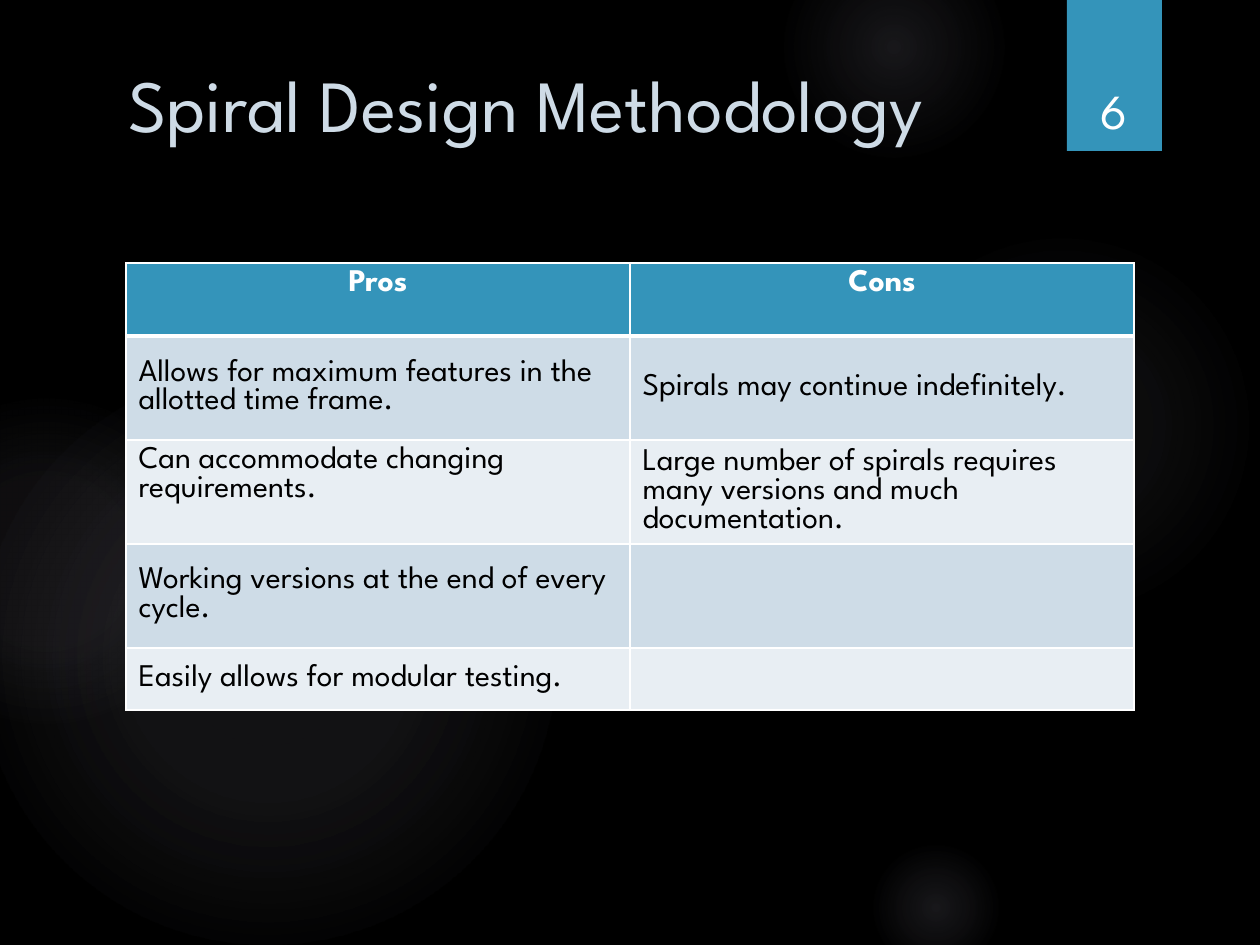
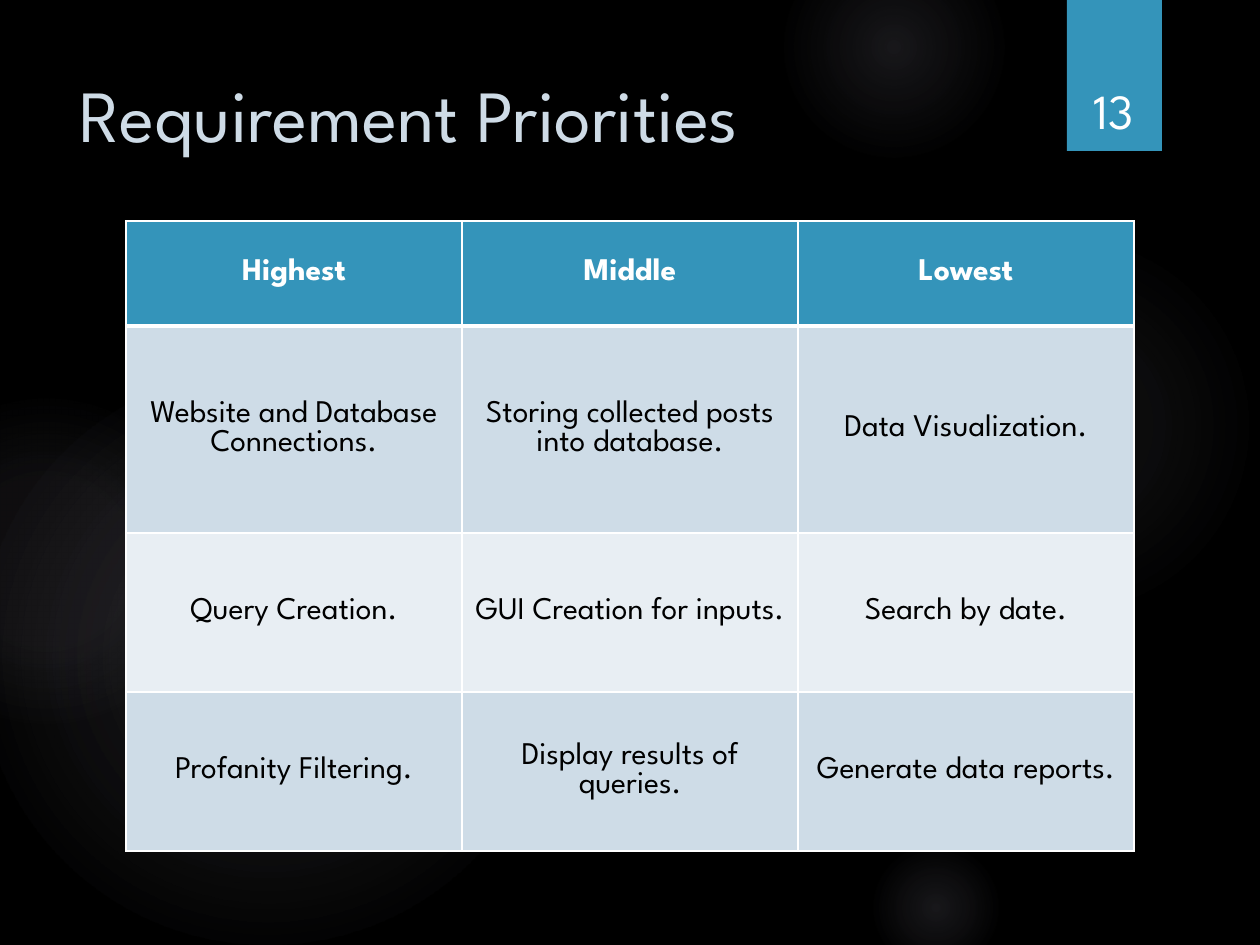
from lxml import etree
from pptx import Presentation
from pptx import util as u
from pptx.dml import color
from pptx.enum import shapes, text
from pptx.oxml import ns

SCALE = 914400 / 126
FONT = "League Spartan"
BLACK, WHITE, BLUE = "000000", "FFFFFF", "3494BA"
TITLE_COLOR, GLOW = "CEDBE6", "AAA7BC"
BANDS = ["CEDCE7", "E8EEF3"]
TOP, MIDDLE, BOTTOM = text.MSO_ANCHOR.TOP, text.MSO_ANCHOR.MIDDLE, text.MSO_ANCHOR.BOTTOM
LEFT, CENTER = text.PP_ALIGN.LEFT, text.PP_ALIGN.CENTER

GLOWS = [
    ((868, 231, 388), [(0, 7), (36, 6), (69, 0)]),
    ((784, -63, 220), [(0, 14), (36, 7), (73, 0)]),
    ((868, 840, 136), [(0, 14), (36, 7), (66, 0)]),
    ((-21, 368, 577), [(0, 11), (36, 10), (75, 0)]),
    ((-116, 399, 325), [(0, 8), (36, 8), (72, 0)]),
]


def px(length):
    return u.Emu(round(length * SCALE))


def rgb(value):
    return color.RGBColor.from_string(value)


def add_xml(parent, tag, **attributes):
    element = etree.SubElement(parent, ns.qn(tag))
    for name, value in attributes.items():
        element.set(name, str(value))
    return element


def add_color(parent, value, opacity=100):
    swatch = add_xml(parent, "a:srgbClr", val=value)
    if opacity < 100:
        add_xml(swatch, "a:alpha", val=opacity * 1000)


def write(frame, words, size=18, ink=BLACK, bold=False, align=LEFT, leading=None):
    paragraph = frame.paragraphs[0]
    paragraph.alignment = align
    paragraph.line_spacing = leading
    run = paragraph.add_run()
    run.text = words
    run.font.name = FONT
    run.font.size = u.Pt(size)
    run.font.bold = bold
    run.font.color.rgb = rgb(ink)


def add_text(slide, box, words, anchor=TOP, **style):
    frame = slide.shapes.add_textbox(*map(px, box)).text_frame
    frame.word_wrap = True
    frame.vertical_anchor = anchor
    write(frame, words, **style)


def add_glow(slide, box, stops):
    left, top, size = box
    shape = slide.shapes.add_shape(
        shapes.MSO_SHAPE.OVAL, px(left), px(top), px(size), px(size))
    shape.shadow.inherit = False
    shape.line.fill.background()
    shape.fill.gradient()
    gradient = shape.element.spPr.find(ns.qn("a:gradFill"))
    for child in list(gradient):
        gradient.remove(child)
    stop_list = add_xml(gradient, "a:gsLst")
    for position, opacity in stops:
        add_color(add_xml(stop_list, "a:gs", pos=position * 1000), GLOW, opacity)
    circle = add_xml(gradient, "a:path", path="circle")
    add_xml(circle, "a:fillToRect", l=50000, t=50000, r=50000, b=50000)


def add_number_tab(slide, box, number):
    left, top, width, height = box
    tab = slide.shapes.add_shape(shapes.MSO_SHAPE.RECTANGLE, *map(px, box))
    tab.fill.solid()
    tab.fill.fore_color.rgb = rgb(BLUE)
    tab.line.fill.background()
    tab.shadow.inherit = False
    effects = tab.element.spPr.find(ns.qn("a:effectLst"))
    shadow = add_xml(effects, "a:outerShdw", blurRad=u.Pt(6), dist=u.Pt(3),
                     dir=5400000, rotWithShape=0)
    add_color(shadow, BLACK, 60)
    add_text(slide, (left + 3, top + 40, width - 8, 106), number,
             anchor=BOTTOM, size=28, ink=WHITE, align=CENTER)


def add_borders(cell, top, bottom):
    properties = cell._tc.get_or_add_tcPr()
    for side, width in zip("LRTB", (1, 1, top, bottom)):
        line = add_xml(properties, f"a:ln{side}", w=u.Pt(width))
        add_color(add_xml(line, "a:solidFill"), WHITE)


def add_grid(slide, box, heights, rows, align, top_cells=()):
    left, top, width = box
    columns = len(rows[0])
    table = slide.shapes.add_table(
        len(rows), columns, px(left), px(top), px(width), px(sum(heights))).table
    table.first_row = table.horz_banding = False
    for column in table.columns:
        column.width = px(width / columns)
    for row, (height, entries) in enumerate(zip(heights, rows)):
        table.rows[row].height = px(height)
        header = row == 0
        for index, words in enumerate(entries):
            cell = table.cell(row, index)
            cell.vertical_anchor = TOP if (row, index) in top_cells else MIDDLE
            add_borders(cell, top=3 if row == 1 else 1, bottom=3 if header else 1)
            cell.fill.solid()
            cell.fill.fore_color.rgb = rgb(BLUE if header else BANDS[(row - 1) % 2])
            if words:
                write(cell.text_frame, words, bold=header,
                      ink=WHITE if header else BLACK,
                      align=CENTER if header else align, leading=u.Pt(16.5))


def add_table_slide(presentation, title, title_at, number, **grid):
    slide = presentation.slides.add_slide(presentation.slide_layouts[6])
    slide.background.fill.solid()
    slide.background.fill.fore_color.rgb = rgb(BLACK)
    for box, stops in GLOWS:
        add_glow(slide, box, stops)
    add_number_tab(slide, (1067, 0, 95, 151), number)
    add_text(slide, (*title_at, 973, 193), title, size=42, ink=TITLE_COLOR)
    add_grid(slide, **grid)


presentation = Presentation()
presentation.slide_width, presentation.slide_height = px(1260), px(945)

add_table_slide(
    presentation, "Spiral Design Methodology", (116, 53), "6",
    box=(126, 263, 1008), heights=[73, 104, 104, 104, 62], align=LEFT,
    top_cells=[(0, 0), (0, 1), (2, 0)],
    rows=[
        ("Pros", "Cons"),
        ("Allows for maximum features in the allotted time frame.",
         "Spirals may continue indefinitely."),
        ("Can accommodate changing requirements.",
         "Large number of spirals requires many versions and much documentation."),
        ("Working versions at the end of every cycle.", ""),
        ("Easily allows for modular testing.", ""),
    ])

add_table_slide(
    presentation, "Requirement Priorities", (67, 63), "13",
    box=(126, 221, 1008), heights=[105, 207, 159, 159], align=CENTER,
    rows=[
        ("Highest", "Middle", "Lowest"),
        ("Website and Database Connections.",
         "Storing collected posts into database.", "Data Visualization."),
        ("Query Creation.", "GUI Creation for inputs.", "Search by date."),
        ("Profanity Filtering.", "Display results of queries.",
         "Generate data reports."),
    ])

presentation.save("out.pptx")
